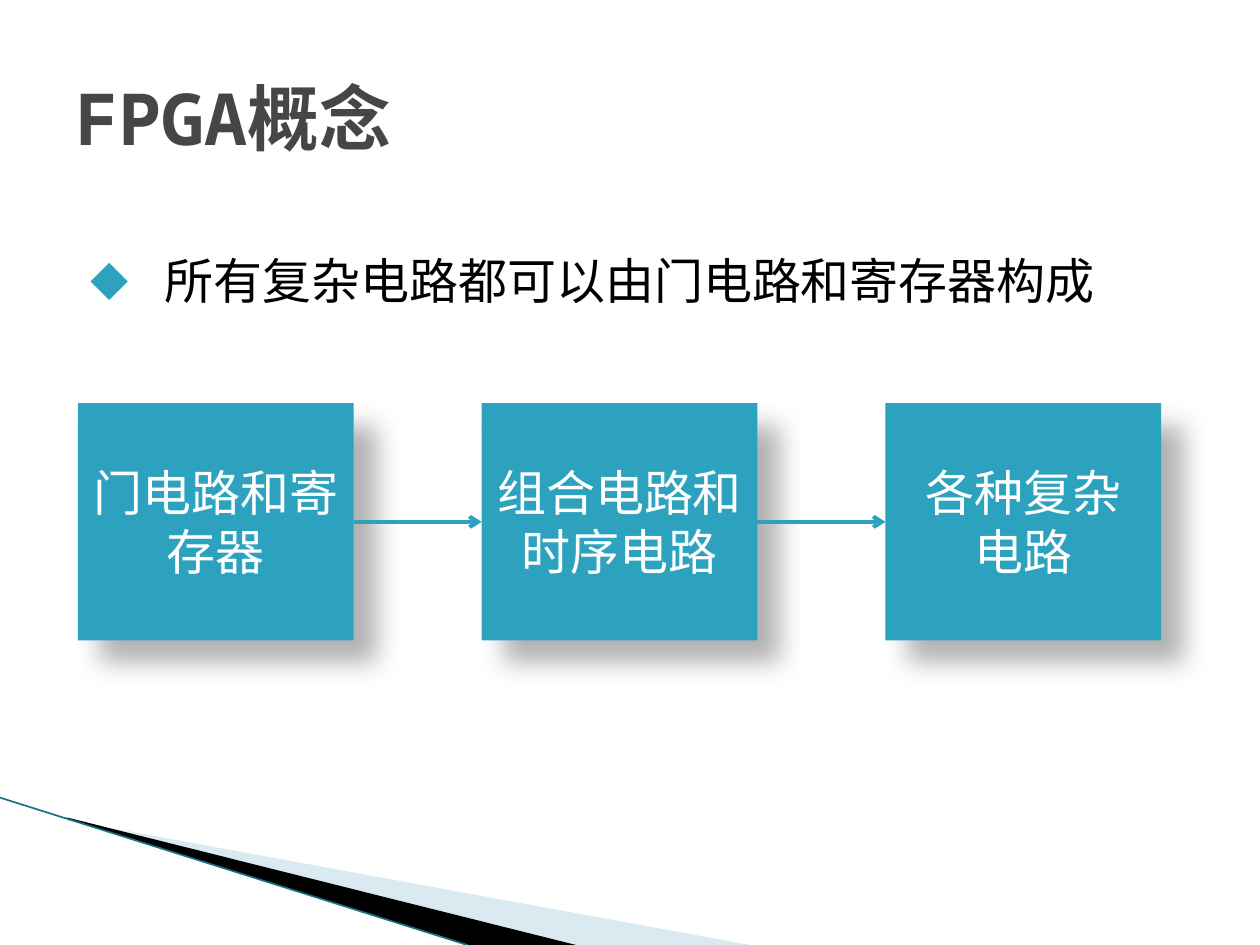
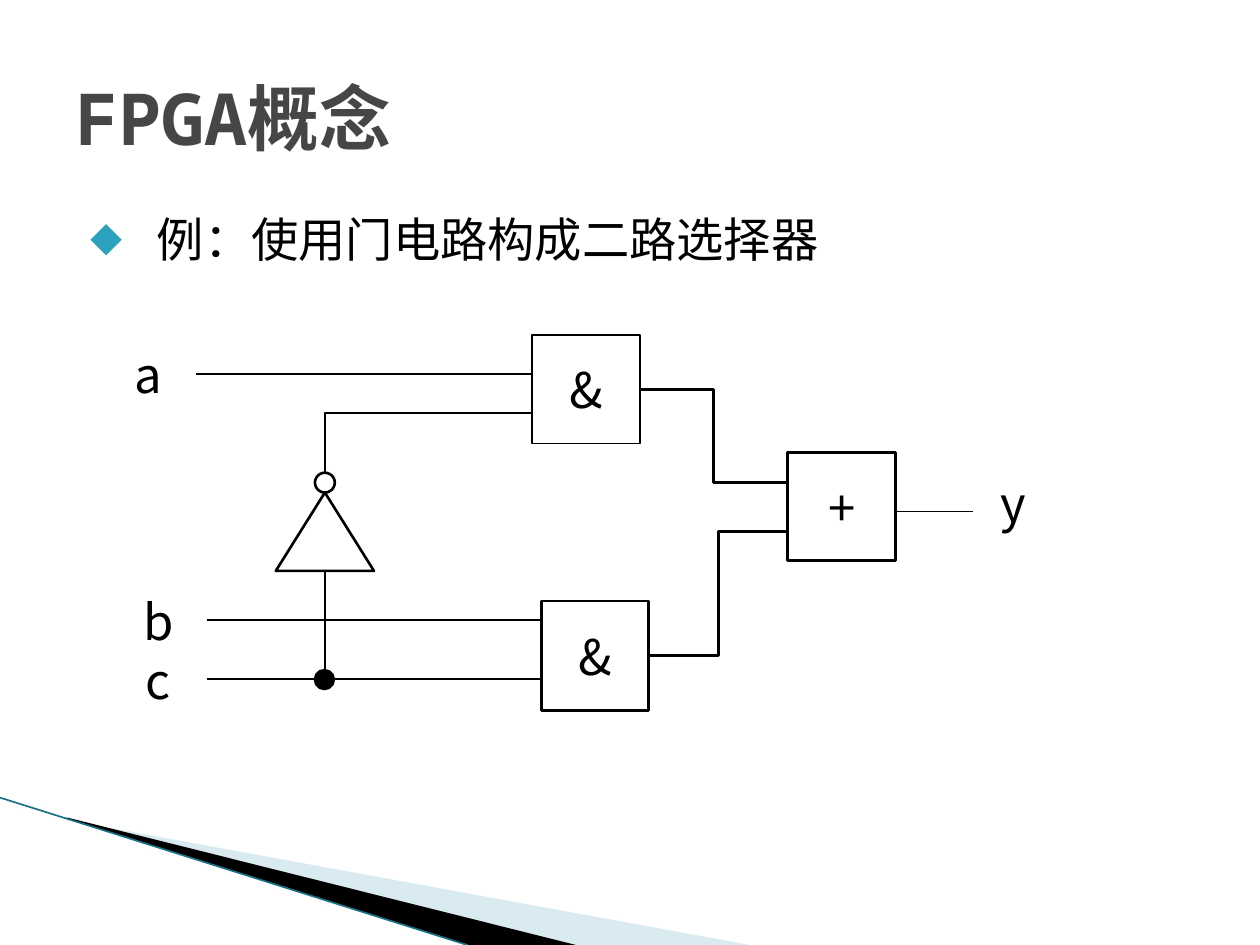
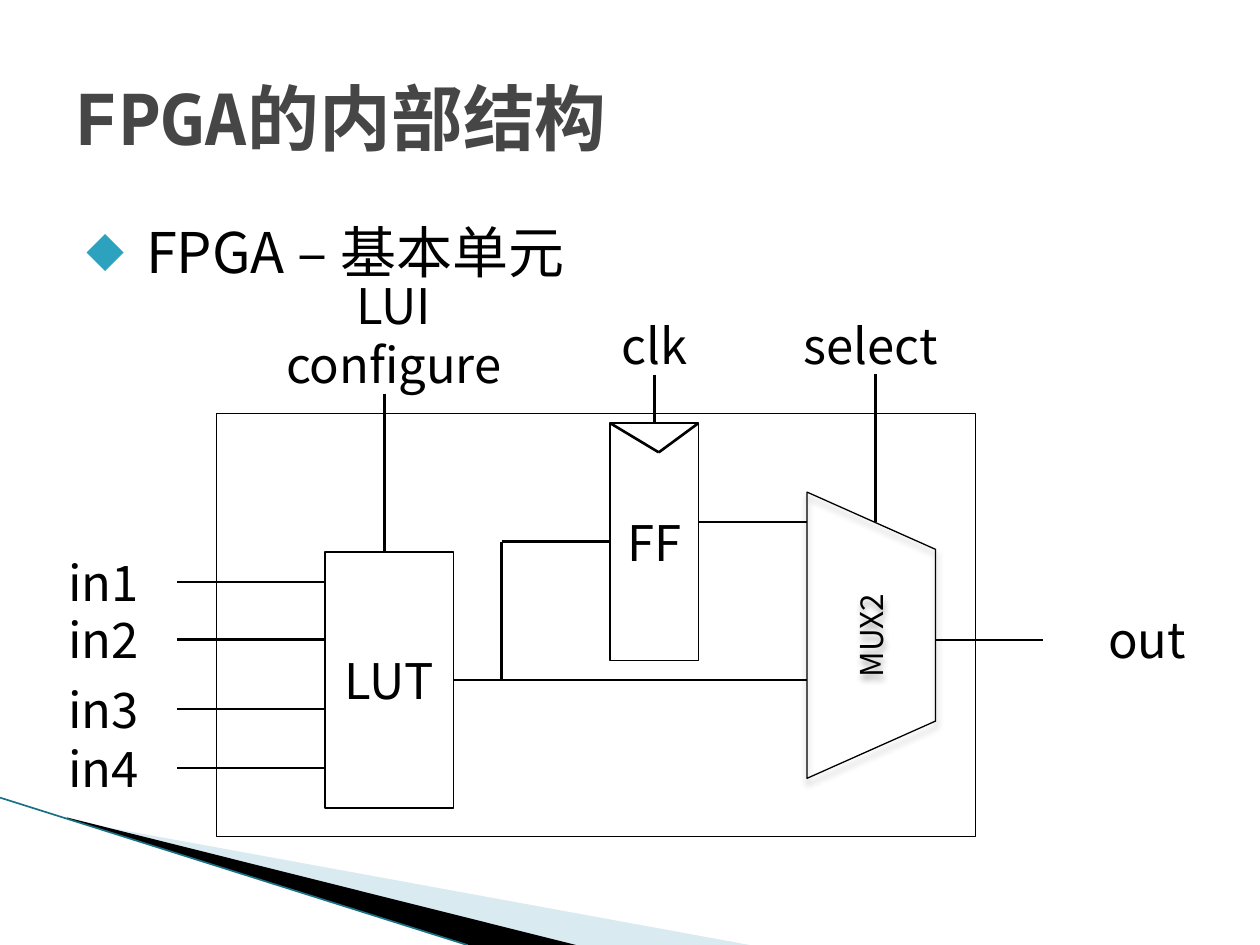
from lxml.etree import SubElement
from pptx import Presentation
from pptx.dml.color import RGBColor
from pptx.enum.shapes import MSO_CONNECTOR, MSO_SHAPE
from pptx.enum.text import MSO_ANCHOR, MSO_AUTO_SIZE, PP_ALIGN
from pptx.oxml.ns import qn
from pptx.util import Cm, Pt

COLORS = {
    "accent": "2DA2BF",
    "title": "464646",
    "ink": "000000",
    "paper": "FFFFFF",
    "pale": "A0CBDC",
    "edge": "1A7186",
}
SANS = "Noto Sans CJK SC"
MONO = "Noto Sans Mono"
LABEL_H = 1.2


def rgb(name):
    return RGBColor.from_string(COLORS[name])


def write(tf, text, size=28, font=SANS, color="ink", bold=False,
          align=PP_ALIGN.CENTER, anchor=MSO_ANCHOR.MIDDLE):
    tf.word_wrap = True
    tf.auto_size = MSO_AUTO_SIZE.NONE
    tf.vertical_anchor = anchor
    for i, line in enumerate(text.split("\n")):
        p = tf.add_paragraph() if i else tf.paragraphs[0]
        p.alignment = align
        r = p.add_run()
        r.text = line
        r.font.name, r.font.size, r.font.bold = font, Pt(size), bold
        r.font.color.rgb = rgb(color)
        SubElement(r.font._element, qn("a:ea"), typeface=SANS)


def place(sp, x, y, w, h):
    sp.left, sp.top, sp.width, sp.height = Cm(x), Cm(y), Cm(w), Cm(h)


def paint(sp, fill=None, line=None, width=0.75):
    sp.shadow.inherit = False
    if fill:
        sp.fill.solid()
        sp.fill.fore_color.rgb = rgb(fill)
    else:
        sp.fill.background()
    if line:
        sp.line.color.rgb = rgb(line)
        sp.line.width = Pt(width)
    else:
        sp.line.fill.background()


def cast_shadow(sp, alpha, blur, dist, angle):
    effects = sp.element.spPr.find(qn("a:effectLst"))
    shadow = SubElement(effects, qn("a:outerShdw"), blurRad=str(Pt(blur)),
                        dist=str(Pt(dist)), dir=str(angle * 60000),
                        algn="tl", rotWithShape="0")
    color = SubElement(shadow, qn("a:srgbClr"), val=COLORS["ink"])
    SubElement(color, qn("a:alpha"), val=str(alpha * 1000))


def shape(slide, x, y, w, h, text="", kind=MSO_SHAPE.RECTANGLE, fill="paper",
          line="ink", width=0.75, **fmt):
    sp = slide.shapes.add_shape(kind, Cm(x), Cm(y), Cm(w), Cm(h))
    paint(sp, fill, line, width)
    if text:
        write(sp.text_frame, text, **fmt)
    return sp


def label(slide, text, x, y, w):
    tb = slide.shapes.add_textbox(Cm(x), Cm(y), Cm(w), Cm(LABEL_H))
    write(tb.text_frame, text)
    return tb


def wire(slide, x1, y1, x2, y2, width=1.5, color="ink",
         kind=MSO_CONNECTOR.STRAIGHT, begin=None, end=None):
    c = slide.shapes.add_connector(kind, Cm(x1), Cm(y1), Cm(x2), Cm(y2))
    c.line.color.rgb = rgb(color)
    c.line.width = Pt(width)
    SubElement(c.element.spPr, qn("a:effectLst"))
    if begin:
        c.begin_connect(*begin)
    if end:
        c.end_connect(*end)
    return c


def elbow(slide, x1, y1, x2, y2, preset="bentConnector3"):
    c = wire(slide, x1, y1, x2, y2, kind=MSO_CONNECTOR.ELBOW)
    c.element.spPr.find(qn("a:prstGeom")).set("prst", preset)


def wedge(slide, points, fill, alpha=100):
    start, *rest = [(Cm(x), Cm(y)) for x, y in points]
    builder = slide.shapes.build_freeform(*start)
    builder.add_line_segments(rest)
    sp = builder.convert_to_shape()
    paint(sp, fill)
    color = sp.element.spPr.find(qn("a:solidFill"))[0]
    SubElement(color, qn("a:alpha"), val=str(alpha * 1000))
    return sp


def dress_layout(layout, slide):
    place(layout.placeholders[0], 1.27, 0.76, 22.86, 3.18)
    bands = [
        wedge(slide, [(1.4, 16.54), (15.11, 19.05), (11.58, 19.05), (1.4, 16.51)],
              "pale", alpha=40),
        wedge(slide, [(1.35, 16.48), (11.61, 19.05), (9.45, 19.05), (1.37, 16.51)],
              "ink"),
        wire(slide, 0, 16.08, 9.42, 19.05, 0.95, "edge"),
    ]
    for band in bands:
        layout.element.cSld.spTree.append(band.element)


def heading(slide, text):
    write(slide.shapes.title.text_frame, text, size=41, font=MONO,
          color="title", bold=True, align=PP_ALIGN.LEFT)


def bullet(slide, text, box, indent, spacing=1.0, before=0, mark=68, **fmt):
    sp = slide.placeholders[1]
    place(sp, *box)
    write(sp.text_frame, text, align=PP_ALIGN.LEFT, anchor=MSO_ANCHOR.TOP, **fmt)
    p = sp.text_frame.paragraphs[0]
    p.line_spacing = spacing
    p.space_before = Pt(before)
    pPr = p._p.get_or_add_pPr()
    pPr.set("marL", str(Cm(indent)))
    pPr.set("indent", str(Cm(0.3 - indent)))
    color = SubElement(pPr, qn("a:buClr"))
    SubElement(color, qn("a:srgbClr"), val=COLORS["accent"])
    SubElement(pPr, qn("a:buSzPct"), val=str(mark * 1000))
    SubElement(pPr, qn("a:buFont"), typeface=SANS)
    SubElement(pPr, qn("a:buChar"), char="◆")


def concept_slide(slide):
    heading(slide, "FPGA概念")
    bullet(slide, "所有复杂电路都可以由门电路和寄存器构成",
           (1.27, 4.11, 22.86, 12.57), 1.8, spacing=1.69, mark=78)
    stages = []
    for i, text in enumerate(["门电路和寄存器", "组合电路和时序电路", "各种复杂\n电路"]):
        sp = shape(slide, 1.57 + 8.14 * i, 8.13, 5.56, 4.78, text,
                   fill="accent", line=None, color="paper")
        cast_shadow(sp, 30, 15, 18, 45)
        stages.append(sp)
    for left, right in zip(stages, stages[1:]):
        c = wire(slide, 0, 0, 1, 1, 2.25, "accent", begin=(left, 3), end=(right, 1))
        SubElement(c.line._get_or_add_ln(), qn("a:tailEnd"), type="arrow")


def selector_slide(slide):
    heading(slide, "FPGA概念")
    bullet(slide, "例：使用门电路构成二路选择器",
           (1.27, 4.11, 22.86, 1.83), 1.64, before=4, size=27, font=MONO)
    shape(slide, 10.72, 6.76, 2.18, 2.18, "&", width=1)
    shape(slide, 10.92, 12.12, 2.16, 2.21, "&", width=1.5)
    shape(slide, 15.88, 9.12, 2.18, 2.18, "+", width=1.5)
    shape(slide, 5.56, 9.93, 1.98, 1.58, kind=MSO_SHAPE.ISOSCELES_TRIANGLE,
          fill=None, width=1.5)
    shape(slide, 6.35, 9.53, 0.4, 0.4, kind=MSO_SHAPE.OVAL, fill=None, width=1.5)
    elbow(slide, 10.72, 8.33, 6.55, 9.53, "bentConnector2")
    elbow(slide, 12.9, 7.85, 15.88, 9.73)
    elbow(slide, 13.08, 13.22, 15.88, 10.72)
    for points in [(3.96, 7.54, 10.72, 7.54), (4.17, 12.5, 10.92, 12.5),
                   (4.17, 13.69, 10.92, 13.69), (6.55, 13.69, 6.55, 11.51),
                   (18.06, 10.31, 19.63, 10.31)]:
        wire(slide, *points, width=0.75)
    shape(slide, 6.35, 13.51, 0.38, 0.38, kind=MSO_SHAPE.OVAL, fill="ink", width=1.5)
    for text, x, y in [("a", 2.18, 6.93), ("b", 2.39, 11.91),
                       ("c", 2.39, 13.1), ("y", 19.63, 9.53)]:
        shape(slide, x, y, 1.6, LABEL_H, text, line="paper")


def cell_slide(slide):
    heading(slide, "FPGA的内部结构")
    bullet(slide, "FPGA – 基本单元", (1.19, 3.58, 22.56, 2.64), 1.5,
           spacing=1.5, size=32)
    shape(slide, 4.37, 8.33, 15.29, 8.53)
    lut = shape(slide, 6.55, 11.13, 2.59, 5.16, "LUT")
    ff = shape(slide, 12.3, 8.53, 1.78, 4.78, "FF")
    mux = shape(slide, 14.68, 11.51, 5.77, 2.59, "MUX2",
                kind=MSO_SHAPE.FLOWCHART_MANUAL_OPERATION, fill=None, size=18)
    mux.rotation = 270
    cast_shadow(mux, 35, 4, 3, 90)

    wire(slide, 9.14, 13.69, 16.27, 13.71, begin=(lut, 3))
    wire(slide, 10.11, 10.92, 12.3, 10.92, end=(ff, 1))
    for points in [(14.08, 10.52, 16.27, 10.52), (18.86, 12.9, 21.03, 12.9),
                   (10.11, 10.92, 10.11, 13.69), (12.3, 8.53, 13.28, 9.12),
                   (14.08, 8.53, 13.28, 9.12), (17.65, 7.54, 17.65, 10.52),
                   (7.75, 7.95, 7.75, 11.13)]:
        wire(slide, *points)

    clk = label(slide, "clk", 11.31, 6.35, 3.76)
    wire(slide, 13.19, 7.55, 13.19, 8.53, begin=(clk, 2), end=(ff, 0))
    label(slide, "select", 15.67, 6.35, 3.76)
    label(slide, "LUI\nconfigure", 5.16, 6.15, 5.56)
    label(slide, "out", 21.64, 12.29, 2.97)
    for i, y in enumerate([11.13, 12.29, 13.69, 14.88], 1):
        pin = label(slide, f"in{i}", 0.6, y, 2.97)
        y_mid = y + LABEL_H / 2
        wire(slide, 3.57, y_mid, 6.55, y_mid, begin=(pin, 3))


def main():
    prs = Presentation()
    prs.slide_width, prs.slide_height = Cm(25.4), Cm(19.05)
    layout = prs.slide_layouts[1]
    builders = [concept_slide, selector_slide, cell_slide]
    slides = [prs.slides.add_slide(layout) for _ in builders]
    dress_layout(layout, slides[0])
    for build, slide in zip(builders, slides):
        build(slide)
    prs.save("out.pptx")


if __name__ == "__main__":
    main()
